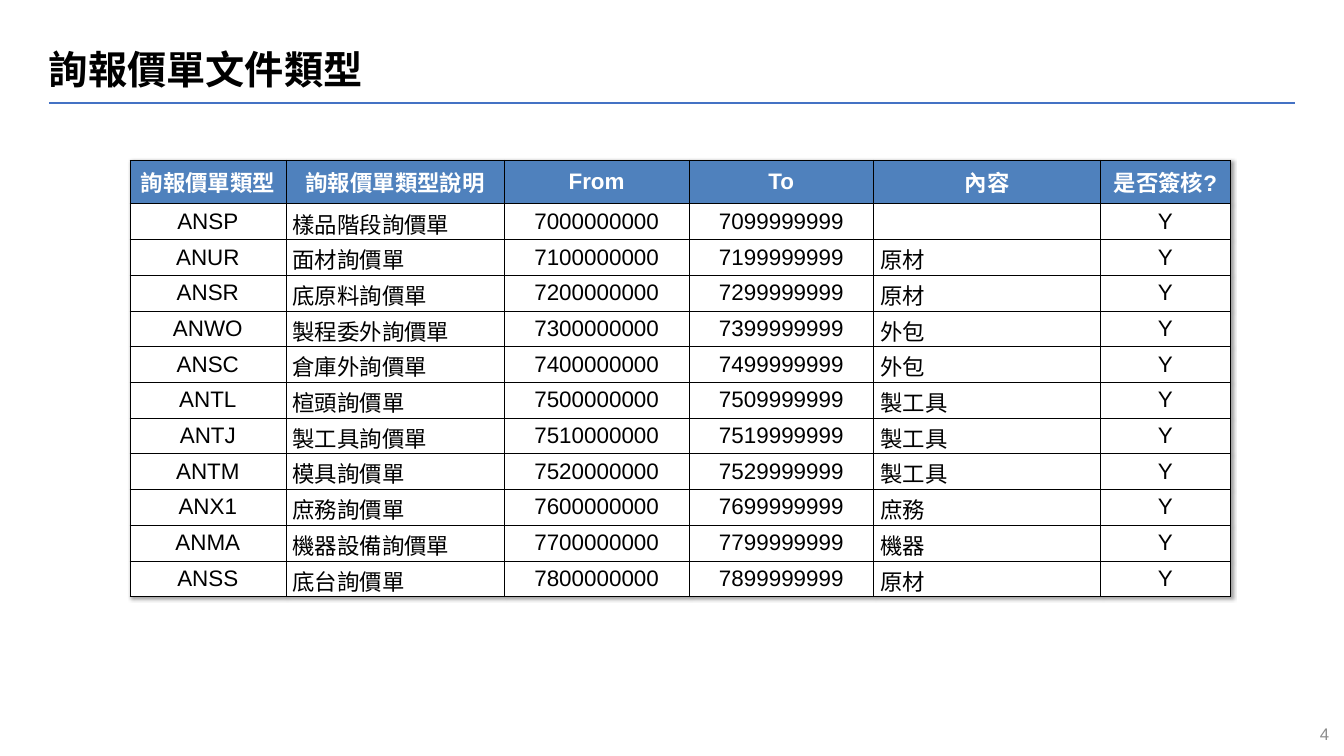
from lxml import etree
from pptx import Presentation
from pptx.dml.color import RGBColor
from pptx.enum.shapes import MSO_CONNECTOR
from pptx.enum.text import MSO_ANCHOR, PP_ALIGN
from pptx.oxml import parse_xml
from pptx.oxml.ns import nsdecls, qn
from pptx.util import Cm, Pt

LEFT, CENTER, RIGHT = PP_ALIGN.LEFT, PP_ALIGN.CENTER, PP_ALIGN.RIGHT
MIDDLE = MSO_ANCHOR.MIDDLE
STRAIGHT = MSO_CONNECTOR.STRAIGHT

TITLE = "詢報價單文件類型"
PAGE_NUMBER = "4"
HEADERS = ["詢報價單類型", "詢報價單類型說明", "From", "To", "內容", "是否簽核?"]
ROWS = [
    ("ANSP", "樣品階段詢價單", "7000000000", "7099999999", "", "Y"),
    ("ANUR", "面材詢價單", "7100000000", "7199999999", "原材", "Y"),
    ("ANSR", "底原料詢價單", "7200000000", "7299999999", "原材", "Y"),
    ("ANWO", "製程委外詢價單", "7300000000", "7399999999", "外包", "Y"),
    ("ANSC", "倉庫外詢價單", "7400000000", "7499999999", "外包", "Y"),
    ("ANTL", "楦頭詢價單", "7500000000", "7509999999", "製工具", "Y"),
    ("ANTJ", "製工具詢價單", "7510000000", "7519999999", "製工具", "Y"),
    ("ANTM", "模具詢價單", "7520000000", "7529999999", "製工具", "Y"),
    ("ANX1", "庶務詢價單", "7600000000", "7699999999", "庶務", "Y"),
    ("ANMA", "機器設備詢價單", "7700000000", "7799999999", "機器", "Y"),
    ("ANSS", "底台詢價單", "7800000000", "7899999999", "原材", "Y"),
]
COLUMN_WIDTHS = [5.89, 8.26, 6.98, 6.98, 8.58, 4.9]
COLUMN_ALIGN = [CENTER, LEFT, CENTER, CENTER, LEFT, CENTER]
HEADER_HEIGHT, ROW_HEIGHT = 1.65, 1.35

LATIN, CJK = "Arial", "Noto Sans CJK TC"
COLORS = {
    "rule": "4472C4",
    "header": "4F81BD",
    "white": "FFFFFF",
    "black": "000000",
    "page": "8C8C8C",
}


def rgb(name):
    return RGBColor.from_string(COLORS[name])


def write(p, text, size, color, align=LEFT, bold=False, font=LATIN):
    p.text = text
    p.alignment = align
    p.font.size = Pt(size)
    p.font.bold = bold
    p.font.color.rgb = rgb(color)
    p.font.name = font
    props = p._p.pPr.find(qn("a:defRPr"))
    etree.SubElement(props, qn("a:ea")).set("typeface", CJK)


def add_text_box(slide, left, top, width, height):
    tf = slide.shapes.add_textbox(Cm(left), Cm(top), Cm(width), Cm(height)).text_frame
    tf.word_wrap = True
    return tf


def add_borders(cell):
    tc_pr = cell._tc.get_or_add_tcPr()
    for i, side in enumerate(("lnL", "lnR", "lnT", "lnB")):
        tc_pr.insert(i, parse_xml(
            f'<a:{side} {nsdecls("a")} w="{Pt(0.5)}"><a:solidFill>'
            f'<a:srgbClr val="{COLORS["black"]}"/></a:solidFill></a:{side}>'))


def add_shadow(table):
    table._tbl.tblPr.insert(0, parse_xml(
        f'<a:effectLst {nsdecls("a")}><a:outerShdw blurRad="{Pt(4)}" dist="{Pt(3)}" '
        f'dir="2700000" algn="tl" rotWithShape="0"><a:srgbClr val="{COLORS["black"]}">'
        '<a:alpha val="40000"/></a:srgbClr></a:outerShdw></a:effectLst>'))


def add_type_table(slide):
    grid = [HEADERS, *ROWS]
    height = HEADER_HEIGHT + ROW_HEIGHT * len(ROWS)
    table = slide.shapes.add_table(len(grid), len(HEADERS), Cm(4.91), Cm(6.05),
                                   Cm(sum(COLUMN_WIDTHS)), Cm(height)).table
    add_shadow(table)
    for column, width in zip(table.columns, COLUMN_WIDTHS):
        column.width = Cm(width)
    for r, values in enumerate(grid):
        is_header = r == 0
        table.rows[r].height = Cm(HEADER_HEIGHT if is_header else ROW_HEIGHT)
        for c, value in enumerate(values):
            cell = table.cell(r, c)
            cell.vertical_anchor = MIDDLE
            cell.fill.solid()
            cell.fill.fore_color.rgb = rgb("header" if is_header else "white")
            add_borders(cell)
            if value:
                write(cell.text_frame.paragraphs[0], value, 24,
                      "white" if is_header else "black",
                      CENTER if is_header else COLUMN_ALIGN[c], is_header)


def main():
    prs = Presentation()
    prs.slide_width, prs.slide_height = Cm(50.8), Cm(28.58)
    slide = prs.slides.add_slide(prs.slide_layouts[6])

    rule = slide.shapes.add_connector(STRAIGHT, Cm(1.85), Cm(3.89), Cm(48.95), Cm(3.89))
    rule.line.color.rgb = rgb("rule")
    rule.line.width = Pt(2.25)
    etree.SubElement(rule._element.spPr, qn("a:effectLst"))

    tf = add_text_box(slide, 47.42, 27.25, 3.07, 1.02)
    write(tf.paragraphs[0], PAGE_NUMBER, 18, "page", RIGHT)

    tf = add_text_box(slide, 1.85, 1.98, 47.1, 1.9)
    tf.margin_left = tf.margin_right = tf.margin_top = tf.margin_bottom = 0
    write(tf.paragraphs[0], TITLE, 42, "black", bold=True, font=CJK)
    tf.paragraphs[0].line_spacing = 0.85

    add_type_table(slide)
    prs.save("out.pptx")


if __name__ == "__main__":
    main()
